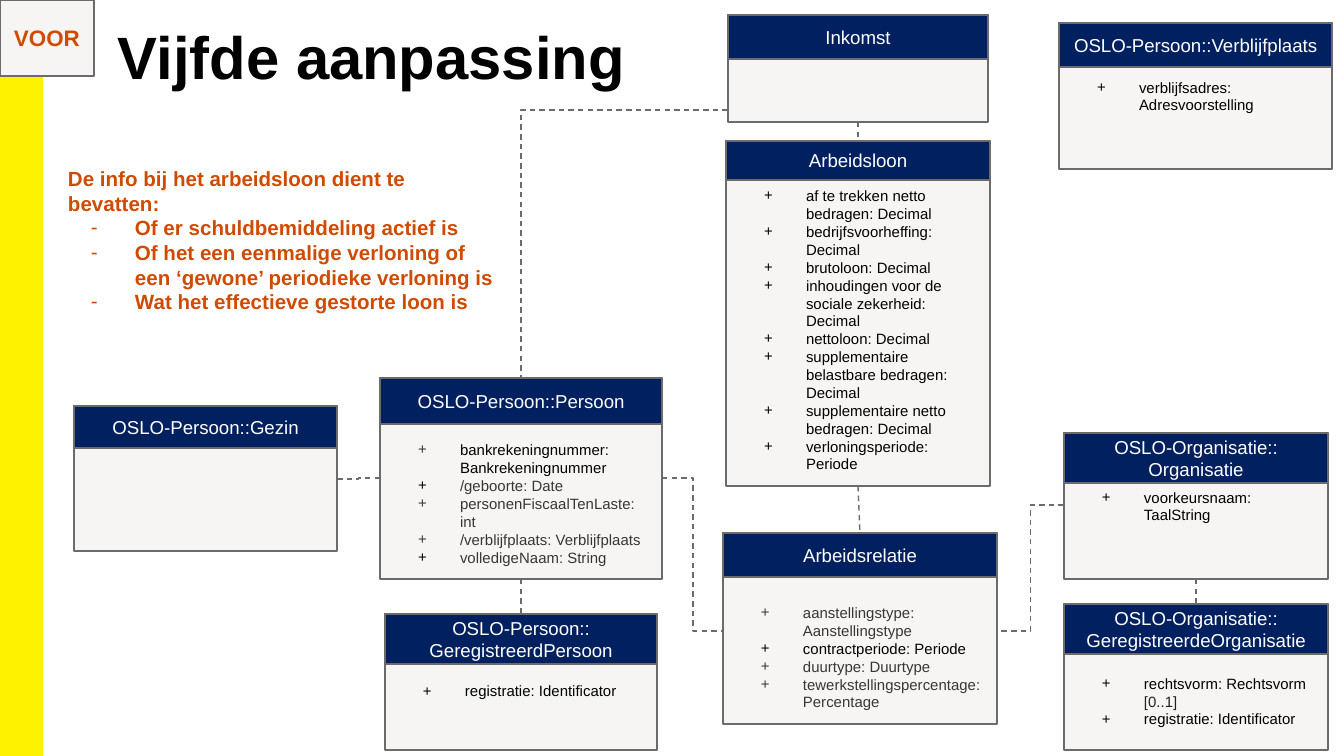
"""Build the slide 'Vijfde aanpassing' with its class diagram."""
from lxml.etree import SubElement
from pptx import Presentation
from pptx.dml.color import RGBColor
from pptx.enum.dml import MSO_LINE
from pptx.enum.shapes import MSO_CONNECTOR, MSO_SHAPE
from pptx.enum.text import MSO_ANCHOR, PP_ALIGN
from pptx.oxml.ns import qn
from pptx.util import Emu, Pt

SCALE = 914400 / 134.4
FONT = "Arial"
BLACK = RGBColor(0, 0, 0)
WHITE = RGBColor(255, 255, 255)
DARK = RGBColor(0x37, 0x36, 0x36)
INK = RGBColor(0x20, 0x21, 0x24)
GRAY = RGBColor(0x6B, 0x6B, 0x6B)
PALE = RGBColor(0xF6, 0xF5, 0xF3)
NAVY = RGBColor(0x00, 0x20, 0x60)
RUST = RGBColor(0xD0, 0x4A, 0x02)
YELLOW = RGBColor(0xFF, 0xF2, 0x00)
TOP, MID, LOW = MSO_ANCHOR.TOP, MSO_ANCHOR.MIDDLE, MSO_ANCHOR.BOTTOM
PAD = 13

TITLE = "Vijfde aanpassing"
TAG = "VOOR"
INTRO = "De info bij het arbeidsloon dient te bevatten:"
NEEDS = [
    "Of er schuldbemiddeling actief is",
    "Of het een eenmalige verloning of een ‘gewone’ periodieke verloning is",
    "Wat het effectieve gestorte loon is",
]

# key: name lines, box, head height, anchor, top pad, bottom pad, (bullet colour, runs...)
CLASSES = {
    "gezin": (["OSLO-Persoon::Gezin"], (74, 406, 263, 145), 42, MID, PAD, PAD, []),
    "persoon": (["OSLO-Persoon::Persoon"], (380, 378, 282, 201), 46, LOW, PAD, PAD, [
        (DARK, ("bankrekeningnummer: Bankrekeningnummer", BLACK)),
        (BLACK, ("/geboorte: Date", DARK)),
        (DARK, ("personenFiscaalTenLaste: int", DARK)),
        (DARK, ("/verblijfplaats: Verblijfplaats", DARK)),
        (BLACK, ("volledigeNaam: String", DARK)),
    ]),
    "relatie": (["Arbeidsrelatie"], (723, 533, 274, 191), 44, LOW, PAD, PAD, [
        (DARK, ("aanstellingstype: Aanstellingstype", DARK)),
        (BLACK, ("contractperiode: Periode", BLACK)),
        (DARK, ("duurtype: Duurtype", DARK)),
        (DARK, ("tewerkstellingspercentage: Percentage", DARK)),
    ]),
    "loon": (["Arbeidsloon"], (726, 141, 264, 345), 39, LOW, PAD, PAD, [
        (BLACK, ("af te trekken netto bedragen: Decimal", BLACK)),
        (BLACK, ("bedrijfsvoorheffing: Decimal", BLACK)),
        (BLACK, ("brutoloon: Decimal", BLACK)),
        (BLACK, ("inhoudingen voor de sociale zekerheid: Decimal", BLACK)),
        (BLACK, ("nettoloon: Decimal", BLACK)),
        (BLACK, ("supplementaire belastbare bedragen: Decimal", BLACK)),
        (BLACK, ("supplementaire netto bedragen: Decimal", BLACK)),
        (BLACK, ("verloningsperiode: Periode", BLACK)),
    ]),
    "org": (["OSLO-Organisatie::", "Organisatie"], (1064, 433, 264, 146), 50,
            MID, PAD, PAD, [(BLACK, ("voorkeursnaam: TaalString", BLACK))]),
    "inkomst": (["Inkomst"], (728, 15, 260, 107), 44, MID, PAD, PAD, []),
    "regper": (["OSLO-Persoon::", "GeregistreerdPersoon"], (385, 614, 272, 136), 50,
               MID, PAD + 18, PAD, [(BLACK, ("registratie: Identificator", BLACK))]),
    "regorg": (["OSLO-Organisatie::", "GeregistreerdeOrganisatie"],
               (1064, 604, 264, 146), 50, LOW, PAD, PAD + 9, [
        (BLACK, ("rechtsvorm: Rechtsvorm ", BLACK), ("[0..1]", INK)),
        (BLACK, ("registratie: Identificator", BLACK)),
    ]),
    "plaats": (["OSLO-Persoon::Verblijfplaats"], (1059, 23, 273, 146), 44,
               MID, PAD, PAD, [(BLACK, ("verblijfsadres: Adresvoorstelling", BLACK))]),
}
LINKS = [("inkomst", "loon"), ("loon", "relatie"), ("persoon", "regper"), ("org", "regorg")]
ELBOWS = [
    ((337, 479, 380, 478), "bentConnector3"),
    ((662, 478, 724, 631), "bentConnector3"),
    ((1064, 505, 997, 631), "bentConnector3"),
    ((728, 110, 521, 378), "bentConnector2"),
]


def px(*nums):
    return [Emu(round(n * SCALE)) for n in nums]


def frame(shape, anchor, top=PAD, low=PAD, side=PAD):
    text = shape.text_frame
    text.word_wrap = True
    text.vertical_anchor = anchor
    text.margin_left, text.margin_right, text.margin_top, text.margin_bottom = px(
        side, side, top, low)
    return text


def write(text, lines, size, bold=False, align=PP_ALIGN.LEFT):
    """Write lines of (bullet, hang, bullet colour, runs)."""
    for i, (mark, hang, tint, runs) in enumerate(lines):
        para = text.paragraphs[0] if i == 0 else text.add_paragraph()
        para.alignment = align
        if mark:
            prop = para._p.get_or_add_pPr()
            left, back = px(67, -hang)
            prop.set("marL", str(left))
            prop.set("indent", str(back))
            color = SubElement(prop, qn("a:buClr"))
            SubElement(color, qn("a:srgbClr"), val=str(tint))
            SubElement(prop, qn("a:buFont"), typeface=FONT)
            SubElement(prop, qn("a:buChar"), char=mark)
        for words, ink in runs:
            run = para.add_run()
            run.text = words
            run.font.name, run.font.size, run.font.bold = FONT, Pt(size), bold
            run.font.color.rgb = ink


def plain(words, ink):
    return None, 0, None, [(words, ink)]


def rect(slide, box, fill, edge=GRAY, width=0.75):
    shape = slide.shapes.add_shape(MSO_SHAPE.RECTANGLE, *px(*box))
    shape.shadow.inherit = False
    shape.fill.solid()
    shape.fill.fore_color.rgb = fill
    shape.line.color.rgb = edge
    shape.line.width = Pt(width)
    return shape


def link(slide, kind, ends):
    line = slide.shapes.add_connector(kind, *px(*ends))
    line.line.color.rgb = GRAY
    line.line.width = Pt(0.75)
    line.line.dash_style = MSO_LINE.DASH
    SubElement(line._element.spPr, qn("a:effectLst"))
    return line


def draw(slide, names, box, tall, anchor, top, low, items):
    x, y, w, h = box
    body = rect(slide, box, PALE)
    if items:
        lines = [("+", 42, tint, runs) for tint, *runs in items]
        write(frame(body, anchor, top, low), lines, 8)
    head = rect(slide, (x, y, w, tall), NAVY)
    write(frame(head, MID), [plain(name, WHITE) for name in names], 10,
          align=PP_ALIGN.CENTER)
    return body


def main():
    deck = Presentation()
    deck.slide_width, deck.slide_height = px(1344, 756)
    slide = deck.slides.add_slide(deck.slide_layouts[5])

    title = slide.shapes.title
    title.left, title.top, title.width, title.height = px(109, 15, 602, 91)
    write(frame(title, TOP, 5, 5, 9), [plain(TITLE, BLACK)], 32, True)

    rect(slide, (0, 0, 42, 756), YELLOW, YELLOW, 1)
    bodies = {key: draw(slide, *data) for key, data in CLASSES.items()}
    for start, end in LINKS:
        line = link(slide, MSO_CONNECTOR.STRAIGHT, (0, 0, 0, 0))
        line.begin_connect(bodies[start], 2)
        line.end_connect(bodies[end], 0)
    for ends, form in ELBOWS:
        line = link(slide, MSO_CONNECTOR.ELBOW, ends)
        line._element.spPr.find(qn("a:prstGeom")).set("prst", form)

    tag = rect(slide, (0, 0, 94, 76), PALE)
    write(frame(tag, MID), [plain(TAG, RUST)], 12, True, PP_ALIGN.CENTER)
    note = slide.shapes.add_textbox(*px(55, 153, 453, 176))
    needs = [("-", 44, RUST, [(need, RUST)]) for need in NEEDS]
    write(frame(note, TOP), [plain(INTRO, RUST)] + needs, 11, True)
    deck.save("out.pptx")


if __name__ == "__main__":
    main()
